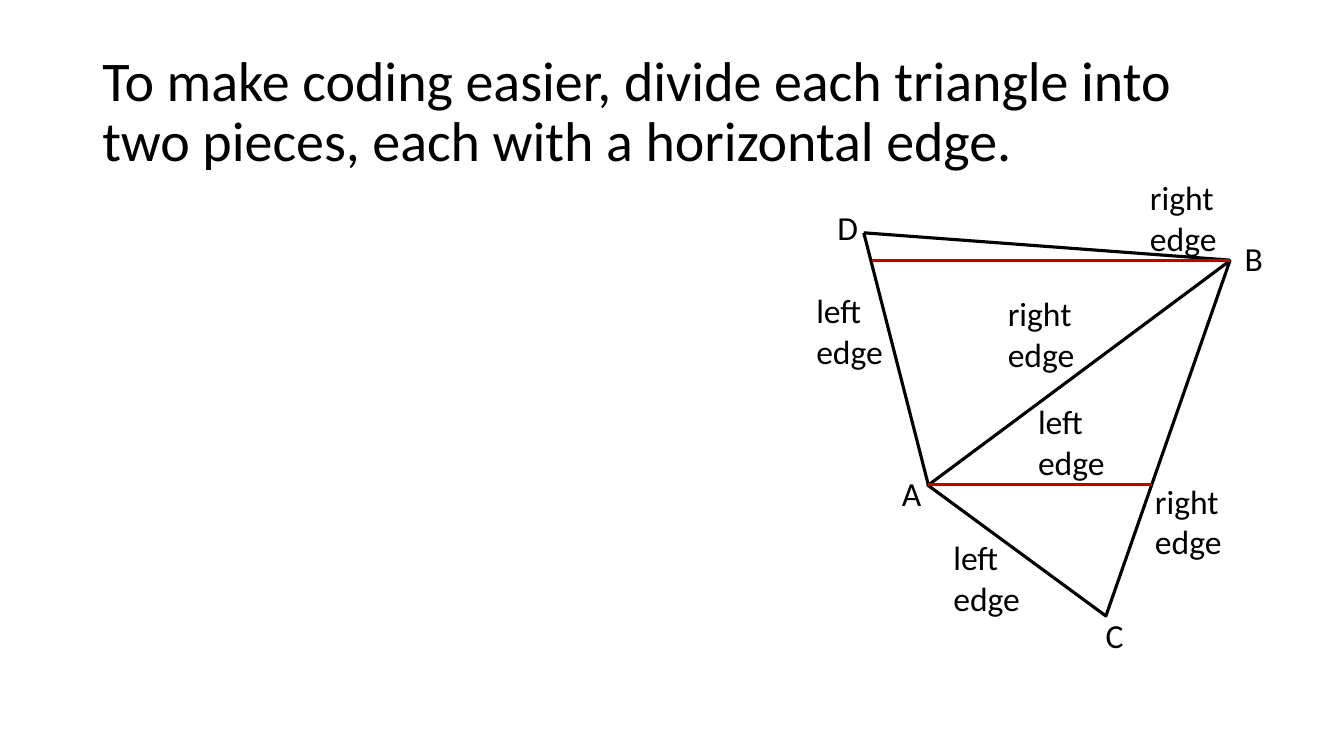
from pptx import Presentation
from pptx.dml.color import RGBColor
from pptx.enum import shapes, text
from pptx.oxml.ns import qn
from pptx.util import Pt
from lxml import etree

BLACK = "000000"
RED = "C00000"
A = (663.1, 346.3)
B = (878.4, 185.8)
D = (617, 166.3)
CUT_AD = (622.8, B[1])
CUT_BC = (823, A[1])
EDGE_LABELS = [
    ("left", 734.4, 283),
    ("right", 817.9, 339.8),
    ("left", 673.9, 380.2),
    ("left", 576, 203.8),
    ("right", 712.8, 205.9),
    ("right", 814.3, 123.1),
]
VERTEX_LABELS = [
    ("C", 782.6, 435.6, 27.4),
    ("B", 882, 166.3, 27.4),
    ("A", 637.2, 334.1, 28.8),
    ("D", 591.1, 144, 29.5),
]


def color(value):
    return RGBColor.from_string(value)


def style_line(line, value):
    line.color.rgb = color(value)
    line.width = Pt(2.25)


def add_text(s, content, x, y, w, h, size=24, wrap=False,
             anchor=text.MSO_ANCHOR.TOP, spacing=None):
    sp = s.shapes.add_textbox(Pt(x), Pt(y), Pt(w), Pt(h))
    tf = sp.text_frame
    tf.word_wrap = wrap
    tf.vertical_anchor = anchor
    tf.text = content
    for p in tf.paragraphs:
        p.line_spacing = spacing
        for r in p.runs:
            r.font.name = "Calibri"
            r.font.size = Pt(size)
            r.font.color.rgb = color(BLACK)


def add_line(s, start, end, value):
    sp = s.shapes.add_connector(
        shapes.MSO_CONNECTOR.STRAIGHT, *[Pt(v) for v in start + end])
    style_line(sp.line, value)
    etree.SubElement(sp._element.spPr, qn("a:effectLst"))


def add_triangle(s, x, y, w, h, rotation):
    sp = s.shapes.add_shape(
        shapes.MSO_SHAPE.ISOSCELES_TRIANGLE, Pt(x), Pt(y), Pt(w), Pt(h))
    sp.rotation = rotation
    sp.shadow.inherit = False
    sp.fill.background()
    style_line(sp.line, BLACK)


def main():
    prs = Presentation()
    prs.slide_width, prs.slide_height = Pt(960), Pt(540)
    s = prs.slides.add_slide(prs.slide_layouts[6])
    add_text(s, "To make coding easier, divide each triangle into two pieces, "
             "each with a horizontal edge.", 66, 28.8, 828, 104.4, size=40,
             wrap=True, anchor=text.MSO_ANCHOR.MIDDLE, spacing=0.9)
    add_triangle(s, 723.6, 161.3, 157.7, 257, 36.3)
    for start in (A, B):
        add_line(s, start, D, BLACK)
    for side, x, y in EDGE_LABELS:
        add_text(s, f"{side}\nedge", x, y, 62.6, 65.5)
    for name, x, y, w in VERTEX_LABELS:
        add_text(s, name, x, y, w, 36)
    for start, end in ((B, CUT_AD), (CUT_BC, A)):
        add_line(s, start, end, RED)
    prs.save("out.pptx")


if __name__ == "__main__":
    main()
